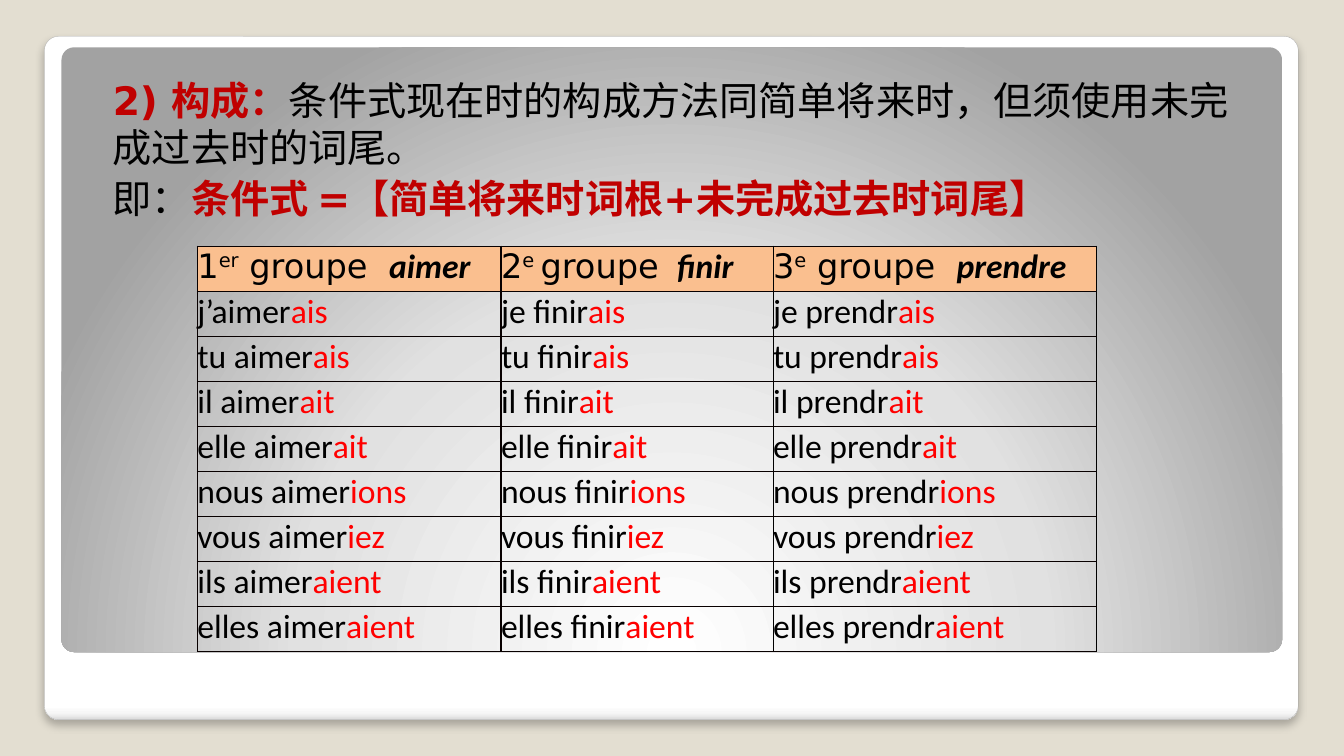
from dataclasses import dataclass
from typing import Optional

from lxml import etree
from pptx import Presentation
from pptx import util as u
from pptx.dml import color as col
from pptx.enum import shapes, text
from pptx.oxml import ns

Pt = u.Pt
HEX = {
    "sand": "E3DED1", "edge": "A4A4A4", "black": "000000", "wine": "C00000",
    "red": "FF0000", "peach": "FABF8F", "rule": "080000",
}
SANS, BODY = "DejaVu Sans", "Calibri"


@dataclass
class Part:
    """A run of text."""
    words: str
    tint: str = "black"
    bold: bool = False
    slant: bool = False
    font: Optional[str] = None
    rise: int = 0


@dataclass
class Panel:
    """A rounded panel with gradient stops and direction."""
    box: tuple[float, float, float, float]
    stops: list[tuple[int, str]]
    way: tuple[str, dict]
    edge: bool = False


PANELS = [
    Panel((31.7, 25.9, 895.7, 488.2),
          [(0, "FFFFFF"), (98, "FFFFFF"), (99, "F7F7F7"), (100, "DADADA")],
          ("lin", {"ang": 5400000, "scaled": 0}), edge=True),
    Panel((43.9, 33.8, 871.9, 432),
          [(0, "FFFFFF"), (55, "E1E1E1"), (100, "A2A2A2")],
          ("path", {"path": "circle"})),
]
INTRO = [
    [Part("2) 构成：", "wine", True),
     Part("条件式现在时的构成方法同简单将来时，但须使用未完成过去时的词尾。")],
    [Part("即："),
     Part("条件式 =【简单将来时词根+未完成过去时词尾】", "wine", True)],
]
HEADS = [
    ("1", "er", " groupe  ", "aimer"),
    ("2", "e ", "groupe ", " finir"),
    ("3", "e", " groupe  ", "prendre"),
]
STEMS = ["aimer", "finir", "prendr"]
FORMS = [
    ("je", "ais"), ("tu", "ais"), ("il", "ait"), ("elle", "ait"),
    ("nous", "ions"), ("vous", "iez"), ("ils", "aient"), ("elles", "aient"),
]
WIDTHS = [216.9, 194.3, 231.1]
ROW = 32.15


def rgb(name: str) -> col.RGBColor:
    return col.RGBColor.from_string(HEX[name])


def node(root, tag: str, **atts):
    item = etree.SubElement(root, ns.qn(f"a:{tag}"))
    for key, val in atts.items():
        item.set(key, str(val))
    return item


def write(para, parts: list[Part], size: float, font: str) -> None:
    para.font.size, para.font.name = Pt(size), font
    for part in parts:
        run = para.add_run()
        run.text = part.words
        run.font.color.rgb = rgb(part.tint)
        run.font.bold, run.font.italic = part.bold, part.slant
        if part.font:
            run.font.name = part.font
        if part.rise:
            run.font._element.set("baseline", str(part.rise * 1000))


def draw(slide, panel: Panel) -> None:
    box = slide.shapes.add_shape(
        shapes.MSO_SHAPE.ROUNDED_RECTANGLE, *map(Pt, panel.box))
    box.adjustments[0] = 0.021
    box.shadow.inherit = False
    box.fill.gradient()
    grad = box._element.spPr.find(ns.qn("a:gradFill"))
    for old in list(grad):
        grad.remove(old)
    stops = node(grad, "gsLst")
    for pos, shade in panel.stops:
        node(node(stops, "gs", pos=pos * 1000), "srgbClr", val=shade)
    kind, atts = panel.way
    way = node(grad, kind, **atts)
    if kind == "path":
        node(way, "fillToRect", l=50000, t=175000, r=50000, b=-75000)
    if not panel.edge:
        box.line.fill.background()
        return
    box.line.color.rgb, box.line.width = rgb("edge"), Pt(0.16)
    glow = node(box._element.spPr.find(ns.qn("a:effectLst")), "outerShdw",
                blurRad=Pt(6), dist=Pt(4), dir=5400000, algn="t",
                rotWithShape=0)
    node(node(glow, "srgbClr", val=HEX["black"]), "alpha", val=25000)


def frame(cell, thin: str) -> None:
    """Border a cell; the sides named in thin get the finer line."""
    props = cell._tc.get_or_add_tcPr()
    for spot, side in enumerate("LRTB"):
        fine = side in thin
        line = node(props, f"ln{side}", w=Pt(0.75 if fine else 1))
        shade = HEX["black" if fine else "rule"]
        node(node(line, "solidFill"), "srgbClr", val=shade)
        props.insert(spot, line)


def fill(cell, parts: list[Part], font: str, tint: Optional[str]) -> None:
    cell.margin_left = cell.margin_right = 0
    cell.margin_top = cell.margin_bottom = 0
    if tint:
        cell.fill.solid()
        cell.fill.fore_color.rgb = rgb(tint)
    else:
        cell.fill.background()
    write(cell.text_frame.paragraphs[0], parts, 24, font)


def verb(who: str, stem: str, end: str) -> list[Part]:
    lead = "j’" if who == "je" and stem[0] in "aeiou" else f"{who} "
    return [Part(lead + stem), Part(end, "red")]


def main() -> None:
    deck = Presentation()
    deck.slide_width, deck.slide_height = Pt(960), Pt(540)
    slide = deck.slides.add_slide(deck.slide_layouts[6])

    # Background and panels
    slide.background.fill.solid()
    slide.background.fill.fore_color.rgb = rgb("sand")
    for panel in PANELS:
        draw(slide, panel)

    # Rule of formation
    body = slide.shapes.add_textbox(
        Pt(66.2), Pt(47.5), Pt(828), Pt(439.2)).text_frame
    body.word_wrap = True
    body.vertical_anchor = text.MSO_ANCHOR.TOP
    body.margin_left, body.margin_right = Pt(14.4), Pt(7.2)
    body.margin_top, body.margin_bottom = Pt(7.2), Pt(3.6)
    for spot, parts in enumerate(INTRO):
        para = body.add_paragraph() if spot else body.paragraphs[0]
        if spot:
            para.space_before = Pt(2.5)
        write(para, parts, 28, SANS)

    # Conjugation table
    rows = len(FORMS) + 1
    grid = slide.shapes.add_table(
        rows, len(STEMS), Pt(141), Pt(175.8),
        Pt(sum(WIDTHS)), Pt(ROW * rows)).table
    grid.first_row = grid.horz_banding = False
    for row in grid.rows:
        row.height = Pt(ROW)
    for c, (stem, head) in enumerate(zip(STEMS, HEADS)):
        grid.columns[c].width = Pt(WIDTHS[c])
        rank, mark, noun, name = head
        title = [Part(rank), Part(mark, rise=30), Part(noun),
                 Part(name, bold=True, slant=True, font=BODY)]
        fill(grid.cell(0, c), title, SANS, "peach")
        for r, (who, end) in enumerate(FORMS, 1):
            fill(grid.cell(r, c), verb(who, stem, end), BODY, None)
        for r in range(rows):
            frame(grid.cell(r, c), ("", "R", "LR")[c])

    deck.save("out.pptx")


if __name__ == "__main__":
    main()
